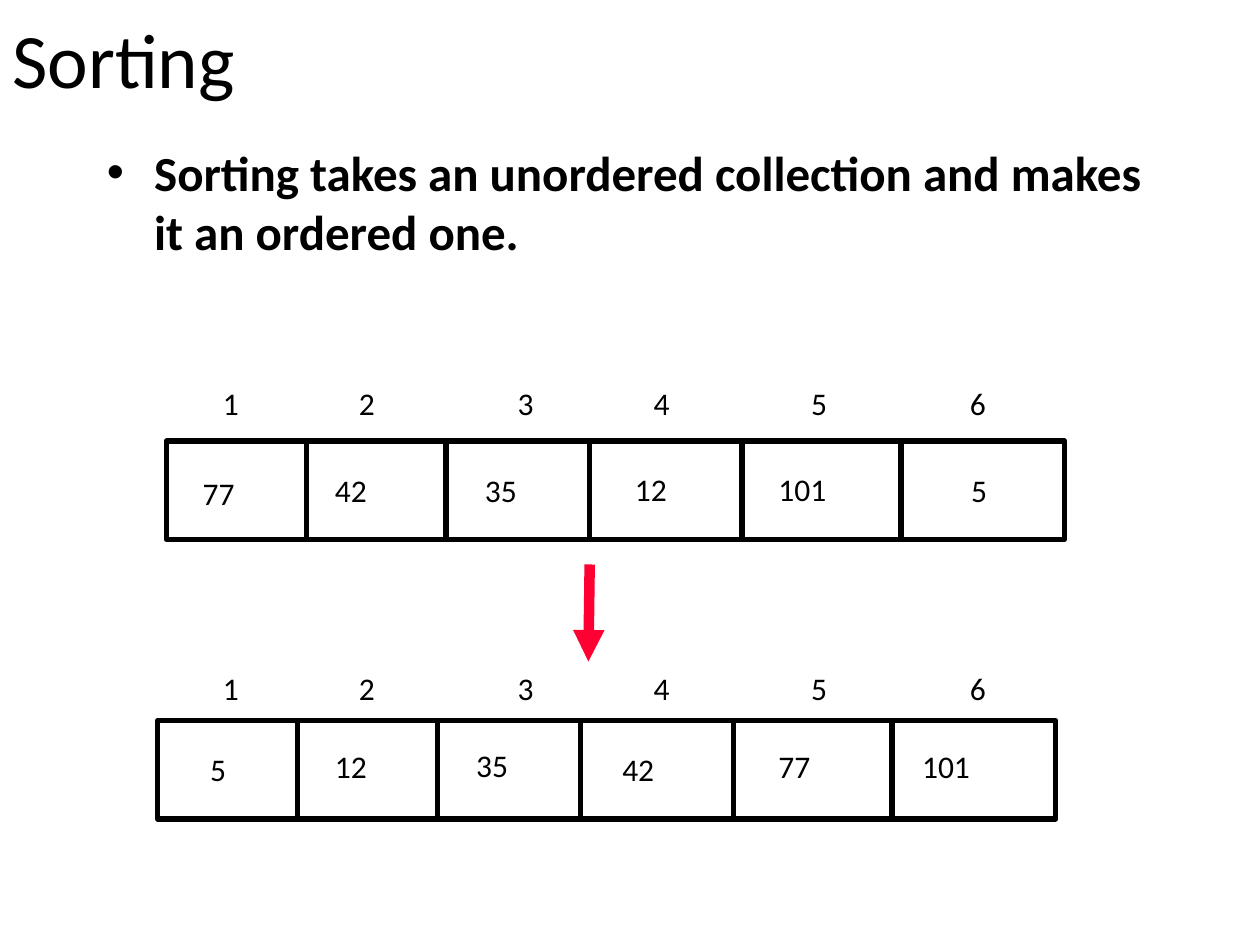
import pptx
import pptx.dml.color
import pptx.enum.shapes
import pptx.enum.text
import pptx.oxml
import pptx.oxml.ns
import pptx.util

COLUMNS, ROWS = 100, 75
WIDTH, HEIGHT = pptx.util.Inches(10), pptx.util.Inches(7.5)
FONT = "Calibri"
BLACK, RED = "000000", "FF0033"
ARRAY_WIDTH, ARRAY_HEIGHT = 71.3, 7.8
DIVIDERS = (11.1, 22.2, 35.5 - 1.9, 45.7, 58.3)
INDEX_STOPS = (10.8, 23.4, 34.2, 46.7, 59.3)


def across(columns):
    return round(WIDTH * columns / COLUMNS)


def down(rows):
    return round(HEIGHT * rows / ROWS)


def place(left, top, width, height):
    return across(left), down(top), across(width), down(height)


def colour(value):
    return pptx.dml.color.RGBColor.from_string(value)


def add_element(parent, tag, **attributes):
    element = pptx.oxml.ns.qn(tag)
    child = parent.makeelement(element, attributes)
    parent.append(child)
    return child


def add_text(shapes, area, text, size, bold=False, middle=False):
    box = shapes.add_textbox(*place(*area))
    frame = box.text_frame
    frame.word_wrap = True
    anchors = pptx.enum.text.MSO_ANCHOR
    frame.vertical_anchor = anchors.MIDDLE if middle else anchors.TOP
    para = frame.paragraphs[0]
    span = para.add_run()
    span.text = text
    span.font.name = FONT
    span.font.size = pptx.util.Pt(size)
    span.font.bold = bold
    span.font.color.rgb = colour(BLACK)
    return para


def add_bullet(para, indent):
    properties = para._p.get_or_add_pPr()
    properties.set("marL", str(across(indent)))
    properties.set("indent", str(-across(indent)))
    add_element(properties, "a:buFont", typeface="Arial")
    add_element(properties, "a:buChar", char="•")


def add_line(shapes, start, end, ink, weight):
    line = shapes.add_connector(
        pptx.enum.shapes.MSO_CONNECTOR.STRAIGHT,
        across(start[0]), down(start[1]), across(end[0]), down(end[1]),
    )
    line.line.color.rgb = colour(ink)
    line.line.width = pptx.util.Pt(weight)
    add_element(line._element.spPr, "a:effectLst")
    return line


def add_arrow(shapes, start, end):
    arrow = add_line(shapes, start, end, RED, 6)
    add_element(arrow.line._get_or_add_ln(), "a:tailEnd", type="triangle")


def add_array(shapes, left, top, values):
    frame = shapes.add_shape(
        pptx.enum.shapes.MSO_SHAPE.RECTANGLE,
        *place(left, top, ARRAY_WIDTH, ARRAY_HEIGHT),
    )
    frame.shadow.inherit = False
    frame.fill.background()
    frame.line.color.rgb = colour(BLACK)
    frame.line.width = pptx.util.Pt(3)
    for offset in DIVIDERS:
        x = left + offset
        add_line(shapes, (x, top), (x, top + ARRAY_HEIGHT), BLACK, 3)
    for text, value_left, value_top in values:
        width = 2 + 1.9 * len(text)
        add_text(shapes, (value_left, value_top, width, 5), text, 18)


def add_indices(shapes, top):
    labels = "\t".join(str(number) for number in range(1, 7))
    para = add_text(shapes, (16.7, top, 63.4, 4), labels, 18)
    stops = add_element(para._p.get_or_add_pPr(), "a:tabLst")
    for stop in INDEX_STOPS:
        add_element(stops, "a:tab", pos=str(across(stop)), algn="l")


def main():
    deck = pptx.Presentation()
    deck.slide_width, deck.slide_height = WIDTH, HEIGHT
    page = deck.slides.add_slide(deck.slide_layouts[6])
    shapes = page.shapes

    add_text(shapes, (0, 0, 100, 9.2), "Sorting", 44, middle=True)
    statement = add_text(
        shapes, (7.5, 10.8, 85, 48.3),
        "Sorting takes an unordered collection and makes it an ordered one.",
        28, bold=True,
    )
    add_bullet(statement, 3.75)

    unordered = [
        ("77", 15.1, 37.1), ("42", 25.6, 36.9), ("35", 37.5, 36.9),
        ("12", 49.4, 36.8), ("101", 60.8, 36.8), ("5", 76.1, 36.9),
    ]
    ordered = [
        ("5", 15.7, 59), ("12", 25.6, 58.8), ("35", 36.8, 58.7),
        ("42", 48.4, 59), ("77", 60.8, 58.8), ("101", 72.2, 58.8),
    ]
    add_array(shapes, 13.2, 35, unordered)
    add_array(shapes.add_group_shape().shapes, 12.5, 57.2, ordered)
    add_indices(shapes, 30)
    add_arrow(shapes, (46.8, 44.8), (46.7, 52.5))
    add_indices(shapes, 52.6)
    deck.save("out.pptx")


if __name__ == "__main__":
    main()
